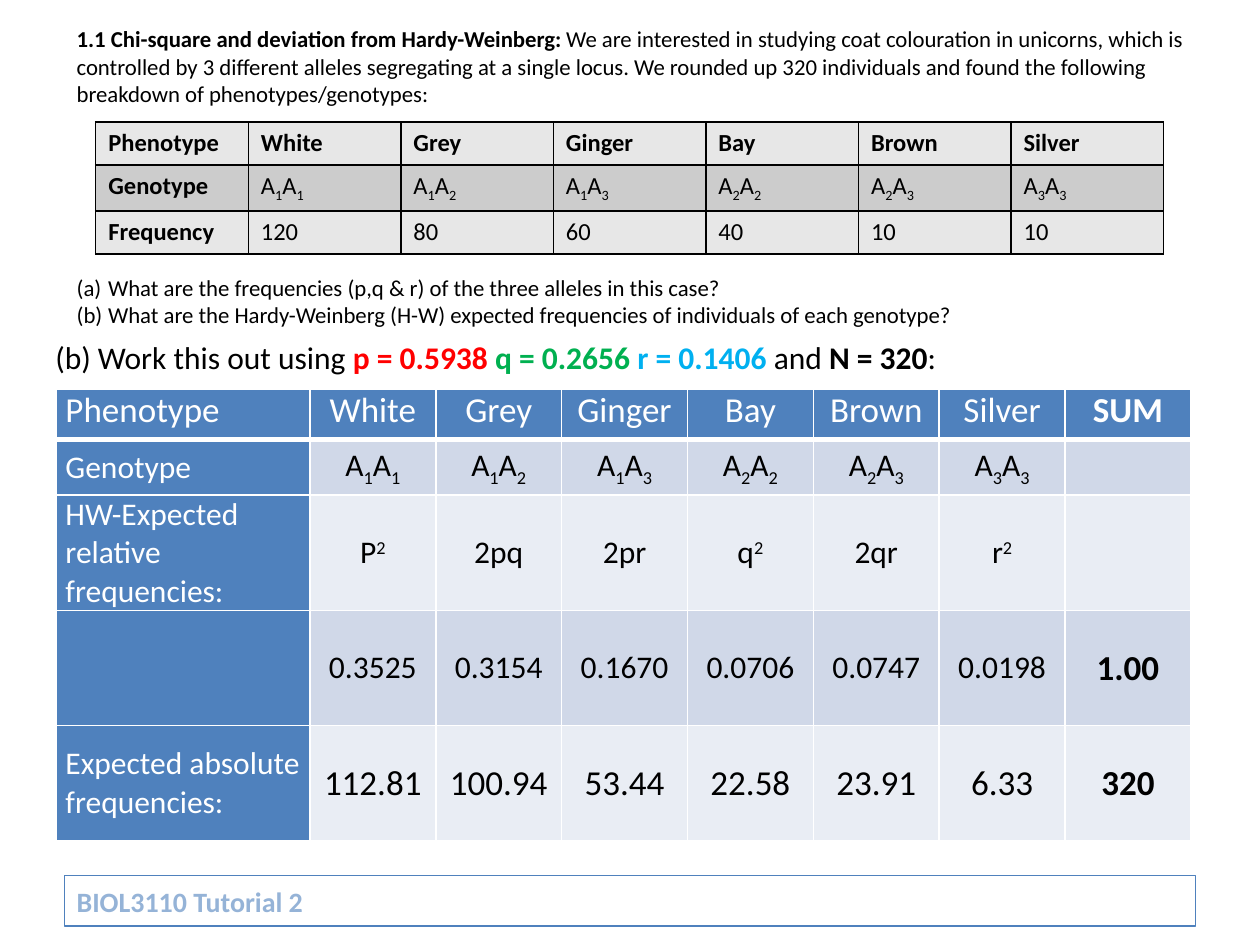
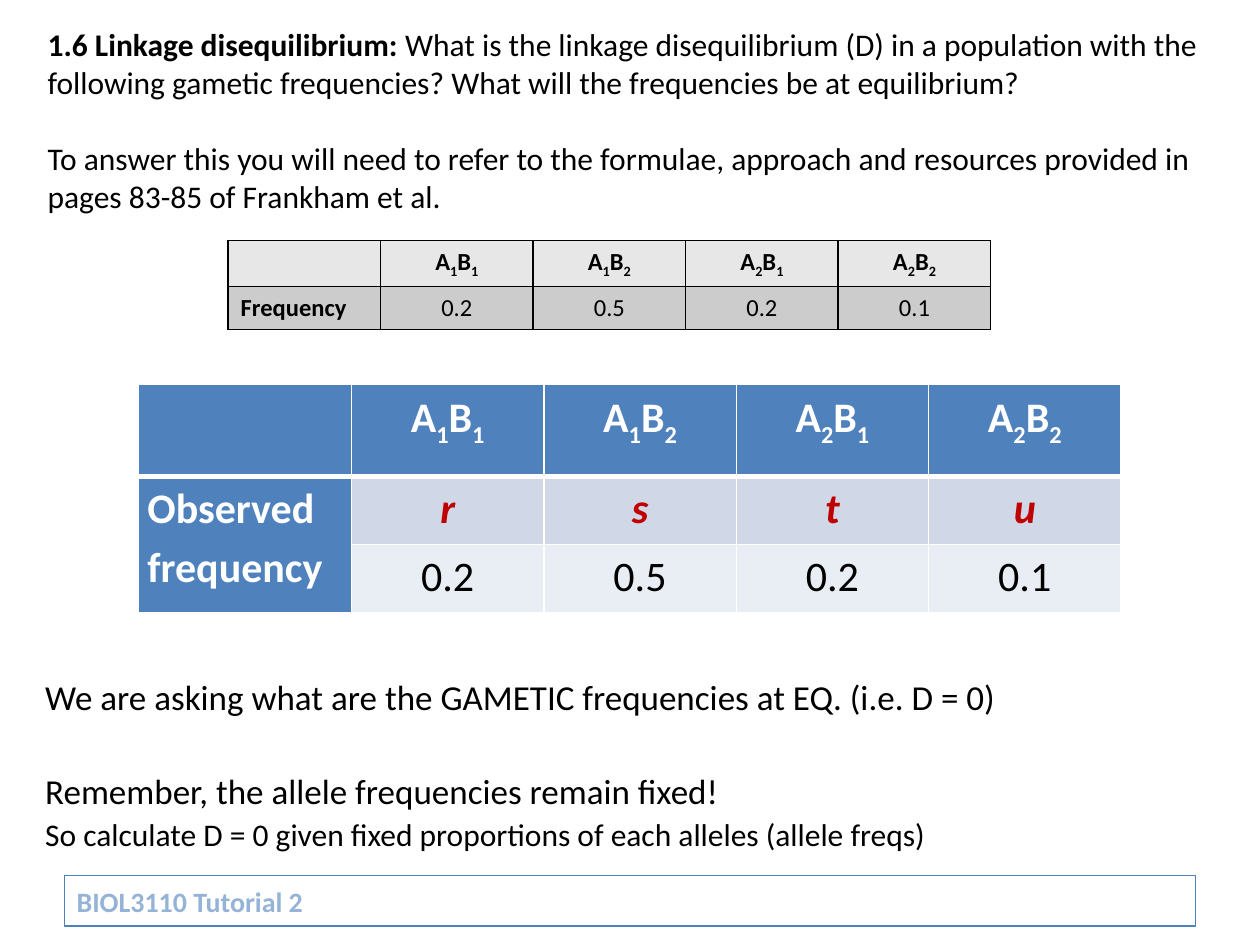
from dataclasses import dataclass
from itertools import groupby

from lxml import etree
from pptx import Presentation, util as u
from pptx.dml.color import RGBColor
from pptx.enum import shapes, text
from pptx.oxml.ns import qn

FONT = "Calibri"
COLOURS = {
    "black": "000000", "white": "FFFFFF", "blue": "4F81BD", "footer": "95B3D7",
    "band dark": "D0D8E8", "band light": "E9EDF4",
    "grey dark": "CCCCCC", "grey light": "E7E7E7",
    "p": "FF0000", "q": "00B050", "r": "00B0F0", "symbol": "C00000",
}
SLIDE_WIDTH, SLIDE_HEIGHT = u.Inches(10), u.Inches(7.5)
GRID = SLIDE_WIDTH // 100  # the slide is 100 columns by 75 rows
SCRIPTS = {"_": -25000, "^": 30000}
LEFT, CENTRE = text.PP_ALIGN.LEFT, text.PP_ALIGN.CENTER
TOP, MIDDLE = text.MSO_ANCHOR.TOP, text.MSO_ANCHOR.MIDDLE


@dataclass(frozen=True)
class Frame:
    """A place on the grid, in columns and rows."""
    left: float
    top: float
    width: float
    height: float

    def emu(self) -> list[int]:
        return [cells(n) for n in (self.left, self.top, self.width, self.height)]


@dataclass(frozen=True)
class Look:
    size: float
    colour: str = "black"
    bold: bool = False
    italic: bool = False
    align: int = LEFT


@dataclass(frozen=True)
class Span:
    text: str
    look: Look


@dataclass(frozen=True)
class Para:
    spans: tuple[Span, ...]
    before: float = 0
    spacing: float = 1
    lettered: bool = False


@dataclass(frozen=True)
class Row:
    height: float
    fill: str
    label: Look
    value: Look
    texts: tuple[str, ...]


@dataclass(frozen=True)
class TableStyle:
    border: str
    side_inset: float
    end_inset: float
    body_anchor: int = TOP
    spacing: float = 1
    header_rule: float = 1
    label_fill: str | None = None
    total: Look | None = None


def cells(count: float) -> int:
    return round(count * GRID)


def rgb(colour: str) -> RGBColor:
    return RGBColor.from_string(COLOURS[colour])


def apply_look(run, look: Look) -> None:
    font = run.font
    font.name, font.size = FONT, u.Pt(look.size)
    font.bold, font.italic = look.bold, look.italic
    font.color.rgb = rgb(look.colour)


def add_run(paragraph, content: str, look: Look, baseline: int = 0) -> None:
    run = paragraph.add_run()
    run.text = content
    apply_look(run, look)
    if baseline:
        run._r.get_or_add_rPr().set("baseline", str(baseline))


def add_scripted(paragraph, markup: str, look: Look) -> None:
    """Write markup in which _ lowers and ^ raises the next character."""
    letters, baseline = [], 0
    for letter in markup:
        if letter in SCRIPTS:
            baseline = SCRIPTS[letter]
        else:
            letters.append((baseline, letter))
            baseline = 0
    for level, group in groupby(letters, key=lambda pair: pair[0]):
        add_run(paragraph, "".join(letter for _, letter in group), look, level)


def letter_paragraph(paragraph) -> None:
    """Number the paragraph (a), (b), ... with a hanging indent."""
    properties = paragraph._p.get_or_add_pPr()
    properties.set("marL", str(cells(2.5)))
    properties.set("indent", str(-cells(2.5)))
    etree.SubElement(properties, qn("a:buFont"), typeface="+mj-lt")
    etree.SubElement(properties, qn("a:buAutoNum"), type="alphaLcParenBoth")


def add_text(slide, frame: Frame, paras: list[Para]) -> None:
    body = slide.shapes.add_textbox(*frame.emu()).text_frame
    body.word_wrap = True
    for index, para in enumerate(paras):
        paragraph = body.add_paragraph() if index else body.paragraphs[0]
        if para.before:
            paragraph.space_before = u.Pt(para.before)
        paragraph.line_spacing = para.spacing
        if para.lettered:
            letter_paragraph(paragraph)
        for span in para.spans:
            add_run(paragraph, span.text, span.look)


def add_footer(slide) -> None:
    band = slide.shapes.add_shape(
        shapes.MSO_SHAPE.RECTANGLE, *Frame(5.1, 69.5, 89.8, 4).emu())
    band.shadow.inherit = False
    band.fill.solid()
    band.fill.fore_color.rgb = rgb("white")
    band.line.color.rgb = rgb("blue")
    band.line.width = u.Pt(0.75)
    band.text_frame.vertical_anchor = MIDDLE
    title = band.text_frame.paragraphs[0]
    title.text = "BIOL3110 Tutorial 2"
    title.alignment = LEFT
    apply_look(title.runs[0], Look(16, "footer", bold=True))


def set_borders(cell, colour: str, top: float, bottom: float) -> None:
    properties = cell._tc.get_or_add_tcPr()
    sides = {"lnL": 1, "lnR": 1, "lnT": top, "lnB": bottom}
    for index, (side, width) in enumerate(sides.items()):
        line = etree.Element(qn(f"a:{side}"), w=str(u.Pt(width)))
        fill = etree.SubElement(line, qn("a:solidFill"))
        etree.SubElement(fill, qn("a:srgbClr"), val=COLOURS[colour])
        properties.insert(index, line)


def fill_cell(cell, content: str, look: Look, style: TableStyle, anchor: int) -> None:
    cell.margin_left = cell.margin_right = cells(style.side_inset)
    cell.margin_top = cell.margin_bottom = cells(style.end_inset if content else 0)
    cell.vertical_anchor = anchor
    paragraph = cell.text_frame.paragraphs[0]
    paragraph.alignment = look.align
    paragraph.line_spacing = style.spacing
    add_scripted(paragraph, content, look)


def add_table(slide, left: float, top: float, widths: list[float],
              rows: list[Row], style: TableStyle):
    frame = Frame(left, top, sum(widths), sum(row.height for row in rows))
    table = slide.shapes.add_table(len(rows), len(widths), *frame.emu()).table
    table.first_row = table.horz_banding = False
    for column, width in zip(table.columns, widths):
        column.width = cells(width)
    for r, row in enumerate(rows):
        table.rows[r].height = cells(row.height)
        for c, content in enumerate(row.texts):
            cell = table.cell(r, c)
            look, fill = row.value, row.fill
            if c == 0:
                look, fill = row.label, style.label_fill or row.fill
            elif r and style.total and c == len(widths) - 1:
                look = style.total
            fill_cell(cell, content, look, style, style.body_anchor if r else TOP)
            cell.fill.solid()
            cell.fill.fore_color.rgb = rgb(fill)
            set_borders(cell, style.border,
                        top=style.header_rule if r == 1 else 1,
                        bottom=style.header_rule if r == 0 else 1)
    return table


PHENOTYPES = ("White", "Grey", "Ginger", "Bay", "Brown", "Silver")
GENOTYPES = tuple(f"A_{i}A_{j}" for i, j in ("11", "12", "13", "22", "23", "33"))
GAMETES = tuple(f"A_{i}B_{j}" for i in "12" for j in "12")
GAMETE_FREQUENCIES = ("0.2", "0.5", "0.2", "0.1")

GIVEN = TableStyle("black", side_inset=1, end_inset=0.5)
GIVEN_COLUMN = 12.11
GIVEN_LABEL = Look(14, bold=True)


def hardy_weinberg_slide(slide) -> None:
    add_footer(slide)
    work = Look(18)
    add_text(slide, Frame(3.4, 26.3, 92.2, 4), [Para((
        Span("(b) Work this out using ", work),
        Span("p = 0.5938 ", Look(18, "p", bold=True)),
        Span("q = 0.2656 ", Look(18, "q", bold=True)),
        Span("r = 0.1406 ", Look(18, "r", bold=True)),
        Span("and ", work), Span("N = 320", Look(18, bold=True)), Span(":", work),
    ))])

    label, value = Look(18, "white"), Look(18, align=CENTRE)
    expected = [
        Row(4, "blue", Look(20, "white"), Look(20, "white", align=CENTRE),
            ("Phenotype", *PHENOTYPES, "")),
        Row(4.4, "band dark", label, value, ("Genotype", *GENOTYPES, "")),
        Row(9.15, "band light", label, value,
            ("HW-Expected relative frequencies:",
             "P^2", "2pq", "2pr", "q^2", "2qr", "r^2", "")),
        Row(9.15, "band dark", label, value,
            ("", "0.3525", "0.3154", "0.1670", "0.0706", "0.0747", "0.0198", "1.00")),
        Row(9.15, "band light", label, Look(20, align=CENTRE),
            ("Expected absolute frequencies:",
             "112.81", "100.94", "53.44", "22.58", "23.91", "6.33", "320")),
    ]
    table = add_table(slide, 4.5, 30.9, [20.1] + [9.99] * 7, expected, TableStyle(
        "white", side_inset=0.7, end_inset=0, body_anchor=MIDDLE, header_rule=3,
        label_fill="blue", total=Look(20, bold=True, align=CENTRE)))
    add_run(table.cell(0, 7).text_frame.paragraphs[0], "SUM",
            Look(20, "white", bold=True))

    plain = Look(13)
    add_text(slide, Frame(5.1, 1.5, 89.8, 27.4), [
        Para((Span("1.1 Chi-square and deviation from Hardy-Weinberg:",
                   Look(13, bold=True)),
              Span(" We are interested in studying coat colouration in unicorns, "
                   "which is controlled by 3 different alleles segregating at a "
                   "single locus. We rounded up 320 individuals and found the "
                   "following breakdown of phenotypes/genotypes:", plain))),
        Para((Span("What are the frequencies (p,q & r) of the three alleles "
                   "in this case?", plain),), before=95, lettered=True),
        Para((Span("What are the Hardy-Weinberg (H-W) expected frequencies of "
                   "individuals of each genotype?", plain),), lettered=True),
    ])

    observed = [
        Row(3.4, "grey light", GIVEN_LABEL, GIVEN_LABEL, ("Phenotype", *PHENOTYPES)),
        Row(3.65, "grey dark", GIVEN_LABEL, Look(14), ("Genotype", *GENOTYPES)),
        Row(3.4, "grey light", GIVEN_LABEL, Look(14),
            ("Frequency", "120", "80", "60", "40", "10", "10")),
    ]
    add_table(slide, 7.6, 9.7, [GIVEN_COLUMN] * 7, observed, GIVEN)


def linkage_slide(slide) -> None:
    add_footer(slide)
    note = Look(20)
    add_text(slide, Frame(2.6, 52.8, 94.8, 15), [
        Para((Span("We are asking what are the GAMETIC frequencies at EQ. "
                   "(i.e. D = 0)", note),), spacing=1.1),
        Para((Span("Remember, the allele frequencies remain fixed!", note),),
             before=27, spacing=1.1),
        Para((Span("So calculate D = 0 given fixed proportions of each alleles "
                   "(allele freqs)", Look(18)),), spacing=1.1),
    ])

    label = Look(24, "white", bold=True)
    gametes = [
        Row(7.3, "blue", label, Look(24, "white", bold=True, align=CENTRE),
            ("", *GAMETES)),
        Row(5.4, "band dark", label,
            Look(24, "symbol", bold=True, italic=True, align=CENTRE),
            ("Observed frequency", *"rstu")),
        Row(5.4, "band light", label, Look(24, align=CENTRE),
            ("", *GAMETE_FREQUENCIES)),
    ]
    table = add_table(slide, 11, 30.5, [16.9] + [15.27] * 4, gametes, TableStyle(
        "white", side_inset=0.7, end_inset=0, spacing=1.15, header_rule=3,
        label_fill="blue"))
    table.cell(1, 0).merge(table.cell(2, 0))

    plain = Look(18)
    add_text(slide, Frame(2.8, 1.5, 96, 16), [
        Para((Span("1.6 Linkage disequilibrium: ", Look(18, bold=True)),
              Span("What is the linkage disequilibrium (D) in a population with "
                   "the following gametic frequencies? What will the frequencies "
                   "be at equilibrium?", plain))),
        Para((Span("To answer this you will need to refer to the formulae, approach "
                   "and resources provided in pages 83-85 of Frankham et al.",
                   plain),), before=22),
    ])

    given = [
        Row(3.65, "grey light", GIVEN_LABEL, Look(14, bold=True, align=CENTRE),
            ("", *GAMETES)),
        Row(3.4, "grey dark", GIVEN_LABEL, Look(14, align=CENTRE),
            ("Frequency", *GAMETE_FREQUENCIES)),
    ]
    add_table(slide, 18.1, 19.1, [GIVEN_COLUMN] * 5, given, GIVEN)


def main() -> None:
    deck = Presentation()
    deck.slide_width, deck.slide_height = SLIDE_WIDTH, SLIDE_HEIGHT
    for build in (hardy_weinberg_slide, linkage_slide):
        build(deck.slides.add_slide(deck.slide_layouts[6]))
    deck.save("out.pptx")


if __name__ == "__main__":
    main()
